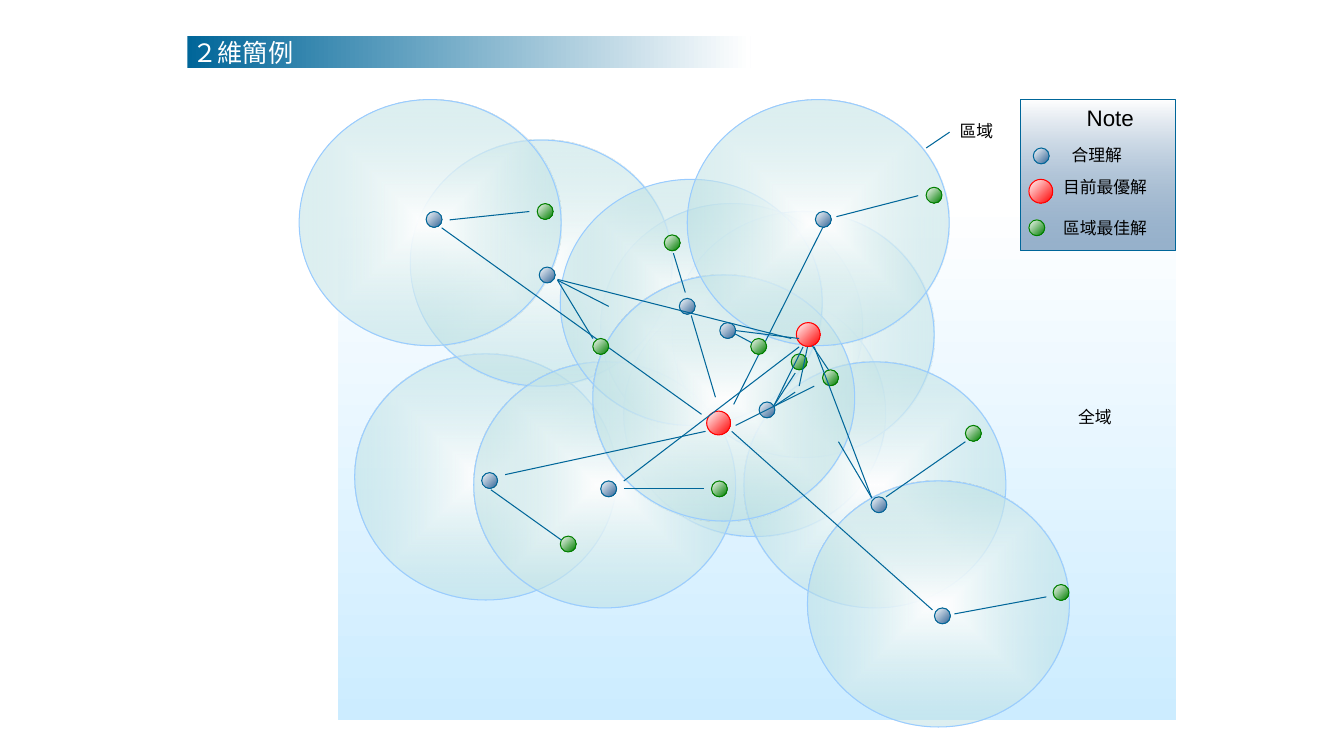
from lxml.etree import SubElement
from pptx import Presentation
from pptx.dml.color import RGBColor
from pptx.enum.shapes import MSO_CONNECTOR, MSO_SHAPE
from pptx.enum.text import MSO_ANCHOR, PP_ALIGN
from pptx.oxml.ns import qn
from pptx.util import Cm, Pt

# Content, lengths in centimetres
TITLE = ("２維簡例", (4.72, 0.91, 14.2, 0.81))
GLOBAL_AREA = (8.53, 4.93, 21.11, 13.21)
LEGEND_BOX = (25.73, 2.51, 3.89, 3.81)

REGION_SIZE = (6.6, 6.2)
REGIONS = [  # left, top
    (15.14, 5.13), (8.94, 8.92), (15.72, 7.32), (16.94, 5.33),
    (10.34, 3.53), (18.75, 9.12), (11.94, 9.12), (14.12, 4.52),
    (14.94, 6.93), (20.35, 12.12), (17.32, 2.51), (7.54, 2.51),
]

SOLUTION_STYLES = {  # diameter, fill, outline
    "feasible": (0.4, "336699", "006699"),
    "current best": (0.6, "FF0000", "FF0000"),
    "local best": (0.4, "008000", "008000"),
}

# Each search stage: solutions (left, top), then moves (x1, y1, x2, y2)
STAGES = [
    ({
        "feasible": [(10.74, 5.33), (12.14, 11.91), (20.55, 5.33),
                     (17.12, 7.52), (23.55, 15.32), (26.04, 3.73)],
        "current best": [(17.81, 10.36), (25.93, 4.52)],
        "local best": [(13.54, 5.13), (23.34, 4.72), (14.12, 13.51),
                       (26.54, 14.73), (16.74, 5.92), (20.73, 9.32),
                       (25.93, 5.54)],
    }, [
        (23.93, 3.33, 23.34, 3.73),
        (21.08, 5.46, 23.14, 4.93), (20.73, 5.74, 18.49, 10.19),
        (11.33, 5.54, 13.34, 5.33), (11.13, 5.74, 17.68, 10.44),
        (16.97, 6.38, 17.27, 7.37), (17.42, 7.95, 18.03, 10.01),
        (12.73, 11.96, 17.78, 10.87), (14.15, 13.61, 12.37, 12.34),
        (26.37, 15.04, 24.05, 15.47), (18.44, 10.87, 23.5, 15.37),
    ]),
    ({
        "feasible": [(13.59, 6.73), (18.14, 8.13), (15.14, 12.12),
                     (19.13, 10.13), (21.95, 12.52)],
        "current best": [(20.07, 8.13)],
        "local best": [(17.93, 12.12), (14.94, 8.53), (24.33, 10.72),
                       (18.92, 8.53), (19.94, 8.92)],
    }, [
        (18.54, 10.72, 20.52, 9.73),
        (15.72, 12.32, 17.73, 12.32), (15.72, 12.12, 20.14, 8.74),
        (14.05, 7.06, 14.94, 8.53), (14.05, 7.04, 19.94, 8.53),
        (14.05, 7.06, 15.34, 7.72), (18.52, 8.41, 18.95, 8.64),
        (18.54, 8.33, 20.14, 8.53), (20.35, 8.74, 20.14, 9.73),
        (20.47, 8.71, 20.88, 9.32), (19.51, 10.21, 20.24, 8.74),
        (20.04, 9.4, 19.51, 10.21), (19.51, 10.24, 20.04, 9.88),
        (22.33, 12.52, 24.33, 11.13), (21.13, 11.13, 21.97, 12.55),
        (20.52, 8.74, 21.97, 12.55),
    ]),
]

LABELS = [  # text, box, size
    ("Note", (27.13, 2.51, 1.7, 0.94), 16),
    ("合理解", (26.75, 3.53, 1.78, 0.76), 12),
    ("目前最優解", (26.54, 4.32, 2.62, 0.76), 12),
    ("區域最佳解", (26.54, 5.36, 2.62, 0.76), 12),
    ("全域", (26.92, 10.13, 1.35, 0.76), 12),
    ("區域", (23.93, 2.92, 1.35, 0.76), 12),
]


def color(hex_code):
    return RGBColor.from_string(hex_code)


def fill_gradient(shape, start, end, angle=0, alpha=None, radial=False):
    """Blend start to end; angle runs clockwise, alpha belongs to the end."""
    shape.fill.gradient()
    for stop, hex_code, position in zip(shape.fill.gradient_stops, (start, end), (0, 1)):
        stop.color.rgb = color(hex_code)
        stop.position = position
    shape.fill.gradient_angle = -angle % 360
    gradient = shape._element.spPr.find(qn("a:gradFill"))
    if alpha is not None:
        end_color = gradient.findall(".//" + qn("a:srgbClr"))[-1]
        SubElement(end_color, qn("a:alpha"), val=str(alpha * 1000))
    if radial:
        gradient.remove(gradient.find(qn("a:lin")))
        center = SubElement(gradient, qn("a:path"), {"path": "shape"})
        SubElement(center, qn("a:fillToRect"), dict.fromkeys("ltrb", "50000"))


def add_area(kind, box, end, outline=None, **gradient):
    area = slide.shapes.add_shape(kind, *map(Cm, box))
    area.shadow.inherit = False
    fill_gradient(area, "FFFFFF", end, **gradient)
    if outline:
        area.line.color.rgb = color(outline)
        area.line.width = Pt(0.75)
    else:
        area.line.fill.background()


def add_move(ends):
    move = slide.shapes.add_connector(MSO_CONNECTOR.STRAIGHT, *map(Cm, ends))
    move.line.color.rgb = color("006699")
    move.line.width = Pt(0.75)
    SubElement(move._element.spPr, qn("a:effectLst"))


def write(holder, text, size=12, font="Arial", ink="000000",
          align=PP_ALIGN.CENTER, anchor=MSO_ANCHOR.TOP):
    frame = holder.text_frame
    frame.word_wrap = False
    frame.vertical_anchor = anchor
    paragraph = frame.paragraphs[0]
    paragraph.alignment = align
    run = paragraph.add_run()
    run.text = text
    run.font.size = Pt(size)
    run.font.name = font
    run.font.color.rgb = color(ink)


deck = Presentation()
deck.slide_width, deck.slide_height = Cm(33.87), Cm(19.05)
slide = deck.slides.add_slide(deck.slide_layouts[5])

# Title bar
title = slide.shapes.title
title.left, title.top, title.width, title.height = map(Cm, TITLE[1])
fill_gradient(title, "006699", "FFFFFF")
write(title, TITLE[0], size=18, font="Montserrat", ink="FFFFFF",
      align=PP_ALIGN.LEFT, anchor=MSO_ANCHOR.MIDDLE)
title.text_frame.margin_left = Cm(0.13)

# Global area, local regions and legend box
add_area(MSO_SHAPE.RECTANGLE, GLOBAL_AREA, "CCECFF", angle=90)
for corner in REGIONS:
    add_area(MSO_SHAPE.OVAL, corner + REGION_SIZE, "BBE0E3", "99CCFF",
             alpha=50, radial=True)
add_area(MSO_SHAPE.RECTANGLE, LEGEND_BOX, "336699", "006699", angle=90, alpha=50)

# Solutions and the moves between them
for solutions, moves in STAGES:
    for kind, corners in solutions.items():
        diameter, tint, outline = SOLUTION_STYLES[kind]
        for corner in corners:
            add_area(MSO_SHAPE.OVAL, corner + (diameter, diameter), tint, outline, angle=45)
    for ends in moves:
        add_move(ends)

# Labels
for text, box, size in LABELS:
    write(slide.shapes.add_textbox(*map(Cm, box)), text, size=size)

deck.save("out.pptx")
